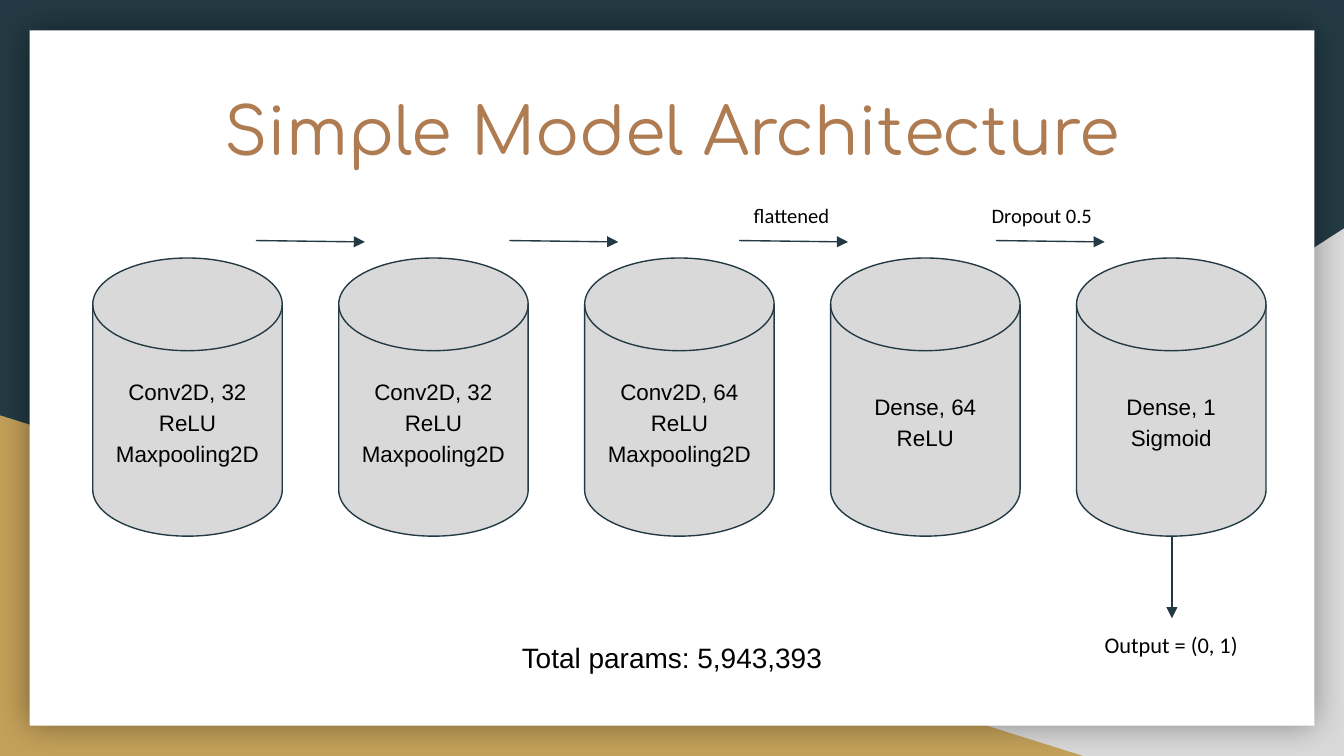
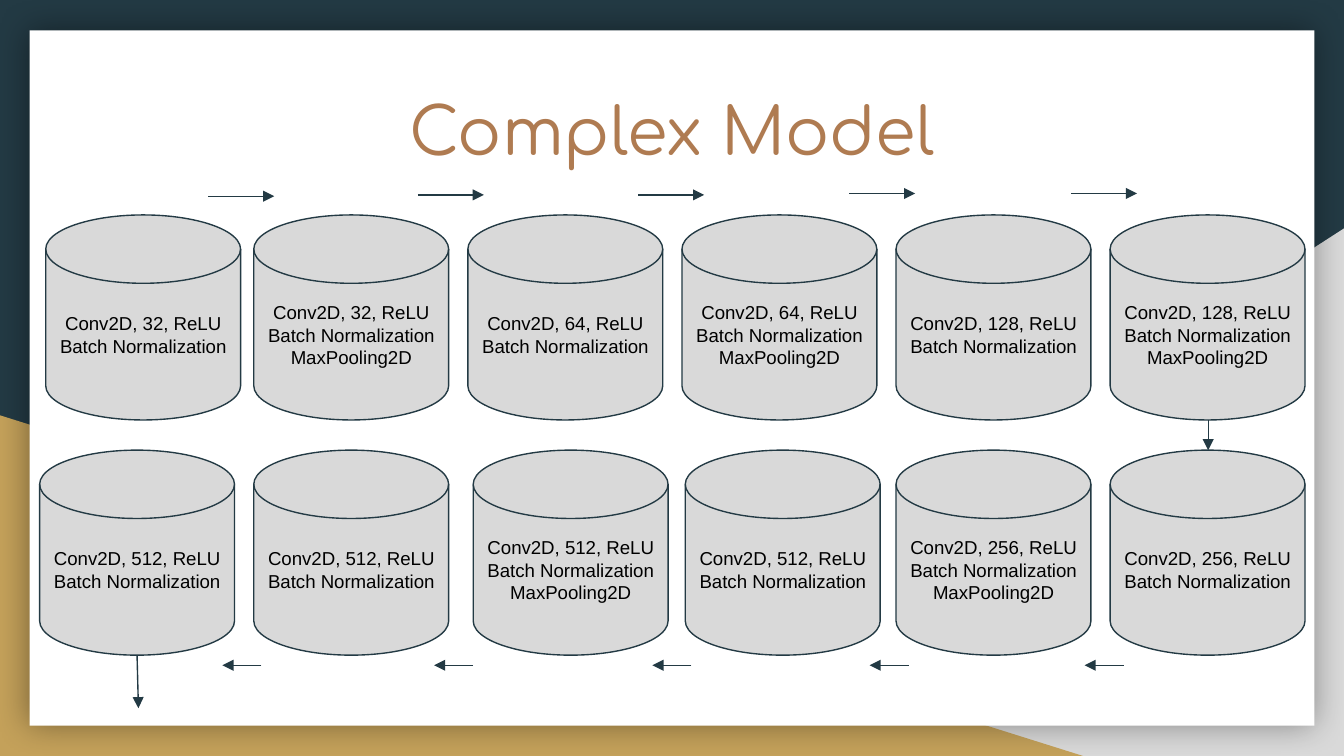
from dataclasses import dataclass

import pptx
import pptx.util
from lxml import etree
from pptx.dml.color import RGBColor
from pptx.enum.shapes import MSO_CONNECTOR, MSO_SHAPE
from pptx.enum.text import MSO_ANCHOR, PP_ALIGN
from pptx.oxml.ns import qn
from pptx.shapes.autoshape import Shape
from pptx.slide import Slide
from pptx.text.text import TextFrame

NAVY = RGBColor(0x23, 0x3A, 0x44)
GOLD = RGBColor(0xC4, 0xA1, 0x5A)
COPPER = RGBColor(0xAF, 0x7B, 0x51)
GRAY = RGBColor(0xD9, 0xD9, 0xD9)
WHITE = RGBColor(0xFF, 0xFF, 0xFF)
BLACK = RGBColor(0x00, 0x00, 0x00)

# The page is a grid of square cells, 100 columns by 56.25 rows.
COLUMNS, ROWS = 100, 56.25
CELL = pptx.util.Inches(0.1)
HAIRLINE = pptx.util.Pt(0.75)


@dataclass(frozen=True)
class Area:
    left: float
    top: float
    width: float
    height: float


@dataclass(frozen=True)
class TextStyle:
    font: str
    size: float
    color: RGBColor = BLACK
    align: PP_ALIGN = PP_ALIGN.CENTER
    spacing: float = 1.0


@dataclass(frozen=True)
class Layer:
    lines: tuple[str, ...]
    shift: float = 0


@dataclass(frozen=True)
class LayerRow:
    """Disks of one size, set at an equal pitch from left to right."""
    first: Area
    pitch: float
    style: TextStyle
    layers: tuple[Layer, ...]


@dataclass(frozen=True)
class Arrow:
    left: float
    top: float
    across: float
    down: float = 0


@dataclass(frozen=True)
class Label:
    area: Area
    text: str
    style: TextStyle


TITLE_AREA = Area(3.4, 5.7, 93.2, 6.3)
TITLE_STYLE = TextStyle("Comfortaa", 35, COPPER)
SIMPLE_STYLE = TextStyle("Arial", 12, spacing=1.15)
COMPLEX_STYLE = TextStyle("Arial", 10)
TOTAL_STYLE = TextStyle("Arial", 15, spacing=1.15)
STEP_STYLE = TextStyle("Calibri", 11, align=PP_ALIGN.LEFT)
OUTPUT_STYLE = TextStyle("Calibri", 12)


def grid(cells: float) -> pptx.util.Emu:
    return pptx.util.Emu(round(cells * CELL))


def place(area: Area) -> tuple[pptx.util.Emu, ...]:
    return grid(area.left), grid(area.top), grid(area.width), grid(area.height)


def write(frame: TextFrame, lines: tuple[str, ...], style: TextStyle) -> None:
    frame.word_wrap = True
    frame.margin_left = frame.margin_right = CELL
    frame.margin_top = frame.margin_bottom = CELL
    for index, line in enumerate(lines):
        para = frame.add_paragraph() if index else frame.paragraphs[0]
        para.alignment = style.align
        para.line_spacing = style.spacing
        span = para.add_run()
        span.text = line
        span.font.name = style.font
        span.font.size = pptx.util.Pt(style.size)
        span.font.color.rgb = style.color


def add_label(page: Slide, label: Label) -> None:
    box = page.shapes.add_textbox(*place(label.area))
    box.text_frame.vertical_anchor = MSO_ANCHOR.TOP
    write(box.text_frame, (label.text,), label.style)


def add_plain(page: Slide, kind: MSO_SHAPE, area: Area, color: RGBColor) -> Shape:
    """Add a filled shape with neither outline nor shadow."""
    shape = page.shapes.add_shape(kind, *place(area))
    shape.shadow.inherit = False
    shape.fill.solid()
    shape.fill.fore_color.rgb = color
    shape.line.fill.background()
    return shape


def add_glow(shape: Shape) -> None:
    """Give the shape a soft, even shadow on all sides."""
    effects = shape._element.spPr.find(qn("a:effectLst"))
    shadow = etree.SubElement(effects, qn("a:outerShdw"), blurRad=str(pptx.util.Pt(18)),
                              dist="0", dir="0", algn="ctr", rotWithShape="0")
    color = etree.SubElement(shadow, qn("a:srgbClr"), val=str(BLACK))
    etree.SubElement(color, qn("a:alpha"), val="40000")


def add_layer_row(page: Slide, row: LayerRow) -> None:
    for index, layer in enumerate(row.layers):
        left = row.first.left + index * row.pitch + layer.shift
        area = Area(left, row.first.top, row.first.width, row.first.height)
        disk = add_plain(page, MSO_SHAPE.FLOWCHART_MAGNETIC_DISK, area, GRAY)
        disk.line.color.rgb = NAVY
        disk.line.width = HAIRLINE
        disk.text_frame.vertical_anchor = MSO_ANCHOR.MIDDLE
        write(disk.text_frame, layer.lines, row.style)


def add_arrow(page: Slide, arrow: Arrow) -> None:
    line = page.shapes.add_connector(
        MSO_CONNECTOR.STRAIGHT, grid(arrow.left), grid(arrow.top),
        grid(arrow.left + arrow.across), grid(arrow.top + arrow.down))
    line.line.color.rgb = NAVY
    line.line.width = HAIRLINE
    etree.SubElement(line.line._get_or_add_ln(), qn("a:tailEnd"), type="triangle")
    etree.SubElement(line._element.spPr, qn("a:effectLst"))


def add_page(deck: pptx.presentation.Presentation, title: str, rows: tuple[LayerRow, ...],
             arrows: list[Arrow], labels: tuple[Label, ...] = ()) -> None:
    page = deck.slides.add_slide(deck.slide_layouts[6])
    page.background.fill.solid()
    page.background.fill.fore_color.rgb = NAVY
    corner = add_plain(page, MSO_SHAPE.RIGHT_TRIANGLE, Area(39.2, 17, 60.8, 39.25), GRAY)
    corner._element.spPr.find(qn("a:xfrm")).set("flipH", "1")
    add_plain(page, MSO_SHAPE.RIGHT_TRIANGLE, Area(0, 30.9, 80.6, 25.35), GOLD)
    add_glow(add_plain(page, MSO_SHAPE.RECTANGLE, Area(2.2, 2.25, 95.6, 51.75), WHITE))
    add_label(page, Label(TITLE_AREA, title, TITLE_STYLE))
    for row in rows:
        add_layer_row(page, row)
    for arrow in arrows:
        add_arrow(page, arrow)
    for label in labels:
        add_label(page, label)


def simple_layer(*lines: str) -> Layer:
    return Layer(lines)


def complex_layer(filters: int, pooled: bool = False, shift: float = 0) -> Layer:
    lines = (f"Conv2D, {filters}, ReLU", "Batch Normalization")
    return Layer(lines + ("MaxPooling2D",) if pooled else lines, shift)


def add_simple_model(deck: pptx.presentation.Presentation) -> None:
    row = LayerRow(Area(6.9, 19.2, 14.1, 20.7), 18.3, SIMPLE_STYLE, (
        simple_layer("Conv2D, 32", "ReLU", "Maxpooling2D"),
        simple_layer("Conv2D, 32", "ReLU", "Maxpooling2D"),
        simple_layer("Conv2D, 64", "ReLU", "Maxpooling2D"),
        simple_layer("Dense, 64", "ReLU"),
        simple_layer("Dense, 1", "Sigmoid"),
    ))
    arrows = [Arrow(left, 17.9, 8.1, 0.1) for left in (19.05, 37.9, 55, 74.1)]
    arrows.append(Arrow(87.2, 39.9, 0, 6.1))
    labels = (
        Label(Area(32.8 + 0.8, 46.3, 32.8, 4.2), "Total params: 5,943,393", TOTAL_STYLE),
        Label(Area(55.1, 14.2, 8, 2.7), "flattened", STEP_STYLE),
        Label(Area(72.8, 14.2, 10.7, 2.7), "Dropout 0.5", STEP_STYLE),
        Label(Area(77.6, 46, 19.1, 3.4), "Output = (0, 1)", OUTPUT_STYLE),
    )
    add_page(deck, "Simple Model Architecture", (row,), arrows, labels)


def add_complex_model(deck: pptx.presentation.Presentation) -> None:
    pitch = 15.93
    upper = LayerRow(Area(2.95, 16, 14.5, 15.25), pitch, COMPLEX_STYLE, (
        complex_layer(32, shift=0.45), complex_layer(32, True),
        complex_layer(64), complex_layer(64, True),
        complex_layer(128), complex_layer(128, True),
    ))
    lower = LayerRow(Area(2.95, 33.5, 14.5, 15.25), pitch, COMPLEX_STYLE, (
        complex_layer(512), complex_layer(512),
        complex_layer(512, True, 0.4), complex_layer(512, shift=0.25),
        complex_layer(256, True), complex_layer(256),
    ))
    starts = ((15.5, 14.6), (31.1, 14.5), (47.5, 14.5), (63.2, 14.4), (79.7, 14.4))
    arrows = [Arrow(left, top, 4.9) for left, top in starts]
    arrows.append(Arrow(89.9, 31.25, 0, 2.25))
    arrows += [Arrow(left, 49.5, -2.9) for left in (83.6, 67.6, 51.45, 35.2, 19.45)]
    arrows.append(Arrow(10.2, 48.75, 0.1, 3.95))
    add_page(deck, "Complex Model", (upper, lower), arrows)


def main() -> None:
    deck = pptx.Presentation()
    deck.slide_width = grid(COLUMNS)
    deck.slide_height = grid(ROWS)
    add_simple_model(deck)
    add_complex_model(deck)
    deck.save("out.pptx")


if __name__ == "__main__":
    main()
